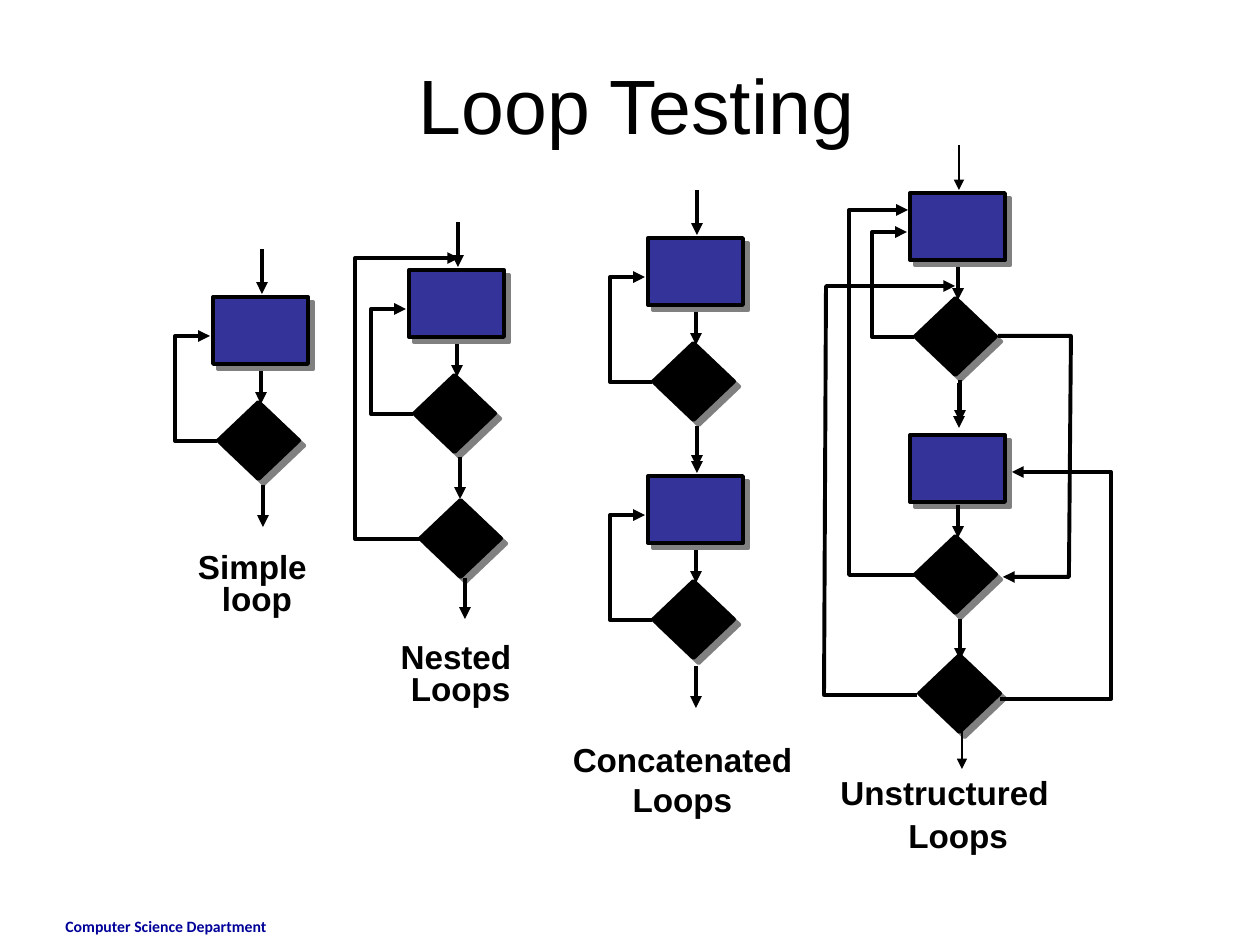
from lxml import etree
from pptx import Presentation
from pptx.dml.color import RGBColor
from pptx.enum.shapes import MSO_CONNECTOR, MSO_SHAPE
from pptx.enum.text import MSO_ANCHOR, PP_ALIGN
from pptx.oxml.ns import qn
from pptx.util import Inches, Pt

PX = 914400 / 126
STRAIGHT = MSO_CONNECTOR.STRAIGHT
RECT, DIAMOND = MSO_SHAPE.RECTANGLE, MSO_SHAPE.DIAMOND
LEFT, CENTER = PP_ALIGN.LEFT, PP_ALIGN.CENTER
COLORS = {"black": "000000", "box": "333399", "shadow": "808080", "footer": "000099"}
RGB = {name: RGBColor.from_string(value) for name, value in COLORS.items()}

prs = Presentation()
prs.slide_width, prs.slide_height = Inches(10), Inches(7.5)
s = prs.slides.add_slide(prs.slide_layouts[5])


def add_arrow(points, width=2.25):
    """Two points give a connector, more give a bent open path."""
    if len(points) == 2:
        sp = s.shapes.add_connector(STRAIGHT, *(round(v * PX) for pt in points for v in pt))
    else:
        builder = s.shapes.build_freeform(*points[0], scale=PX)
        builder.add_line_segments(points[1:], close=False)
        sp = builder.convert_to_shape()
        sp.fill.background()
    sp.line.color.rgb = RGB["black"]
    sp.line.width = Pt(width)
    etree.SubElement(sp.line._get_or_add_ln(), qn("a:tailEnd"), type="triangle")
    etree.SubElement(sp._element.spPr, qn("a:effectLst"))


def add_node(kind, x, y):
    w, h, color = (95, 67, "box") if kind == RECT else (81, 77, "black")
    sp = s.shapes.add_shape(kind, *(round(v * PX) for v in (x, y, w, h)))
    sp.fill.solid()
    sp.fill.fore_color.rgb = RGB[color]
    sp.line.color.rgb = RGB["black"]
    sp.line.width = Pt(2.25)
    effects = etree.SubElement(sp._element.spPr, qn("a:effectLst"))
    shadow = etree.SubElement(effects, qn("a:outerShdw"), dist=str(Pt(4.2)),
                              dir="2700000", algn="ctr", rotWithShape="0")
    etree.SubElement(shadow, qn("a:srgbClr"), val=COLORS["shadow"])


# Title
title = s.shapes.title
title.left, title.top, title.width, title.height = (round(v * PX) for v in (237, 64, 799, 79))
tf = title.text_frame
tf.text = "Loop Testing"
tf.vertical_anchor = MSO_ANCHOR.MIDDLE
p = tf.paragraphs[0]
p.alignment = CENTER
p.font.name, p.font.size = "Arial", Pt(44)
p.font.color.rgb = RGB["black"]

# Loop units: left, top, extra drop of the box, own loop back, entry width
units = [
    (213, 297, 0, True, 2.25),
    (409, 270, 0, True, 2.25),
    (648, 238, 0, True, 2.25),
    (648, 476, 0, True, 2.25),
    (910, 193, 0, True, 1),
    (910, 431, 4, False, 2.25),
]
for x, y, drop, loops_back, entry_width in units:
    add_node(RECT, x, y + drop)
    add_node(DIAMOND, x + 5, y + 105)
    add_arrow([(x + 49, y - 48), (x + 49, y - 3)], entry_width)
    add_arrow([(x + 48, y + 74), (x + 48, y + 107)])
    if loops_back:
        add_arrow([(x + 4, y + 144), (x - 38, y + 144), (x - 38, y + 39), (x - 3, y + 39)])

# Outer decisions of the nested and unstructured loops
for x, y in [(420, 500), (919, 655)]:
    add_node(DIAMOND, x, y)

# Exit arrows: x, top, length, width
for x, y, length, width in [
    (263, 485, 42, 2.25),
    (460, 457, 42, 2.25),
    (465, 578, 41, 2.25),
    (697, 426, 41, 2.25),
    (696, 666, 42, 2.25),
    (960, 380, 42, 2.25),
    (960, 619, 41, 2.25),
    (962, 727, 42, 1),
]:
    add_arrow([(x, y), (x, y + length)], width)

# Long jumps
for points in [
    [(420, 539), (355, 539), (355, 258), (459, 258)],
    [(921, 575), (849, 575), (849, 210), (908, 210)],
    [(998, 336), (1071, 336), (1069, 577), (1003, 577)],
    [(1000, 699), (1111, 699), (1111, 472), (1012, 472)],
    [(917, 695), (824, 695), (826, 286), (955, 286)],
]:
    add_arrow(points)

# Captions and footer: place, lines, alignment, line spacing, font, size, colour
arial = ("Arial", 19, "black")
for place, lines, align, spacing, (font, size, color) in [
    ((185, 548, 144, 76), ["Simple ", "loop"], CENTER, 0.8, arial),
    ((388, 638, 145, 76), ["Nested ", "Loops"], CENTER, 0.8, arial),
    ((556, 733, 253, 92), ["Concatenated", "Loops"], CENTER, 1.0, arial),
    ((828, 766, 297, 52), ["Unstructured"], LEFT, 1.0, arial),
    ((896, 809, 125, 52), ["Loops"], LEFT, 1.0, arial),
    ((53, 911, 294, 34), ["Computer Science Department"], LEFT, 1.0, ("Calibri", 9, "footer")),
]:
    tf = s.shapes.add_textbox(*(round(v * PX) for v in place)).text_frame
    tf.word_wrap = False
    tf.text = "\n".join(lines)
    for p in tf.paragraphs:
        p.alignment = align
        p.line_spacing = spacing
        p.font.name, p.font.size, p.font.bold = font, Pt(size), True
        p.font.color.rgb = RGB[color]

prs.save("out.pptx")
